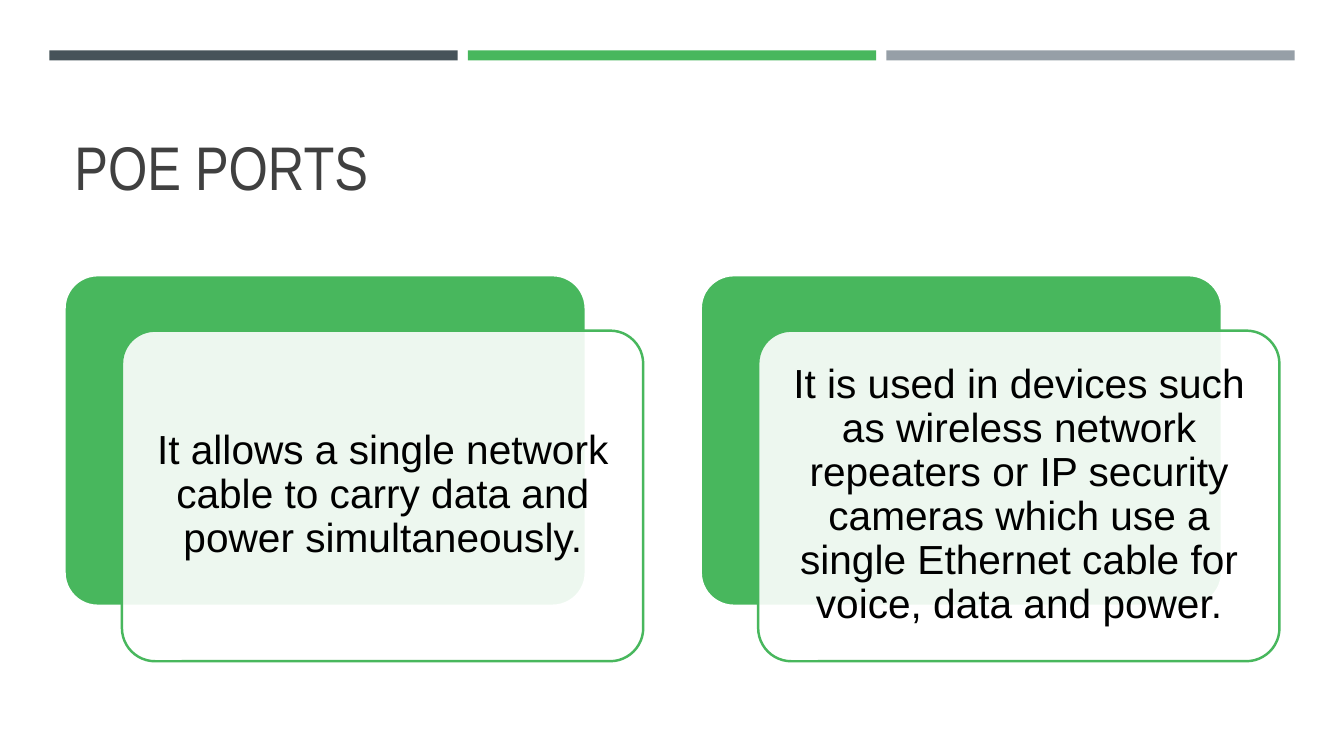
from lxml.etree import SubElement
from pptx import Presentation
from pptx.dml.color import RGBColor
from pptx.enum.shapes import MSO_SHAPE
from pptx.enum.text import MSO_ANCHOR, PP_ALIGN
from pptx.oxml.ns import qn
from pptx.util import Inches, Pt

COLORS = {
    "slate": "465359",
    "green": "48B75D",
    "gray": "969FA7",
    "title": "404040",
    "black": "000000",
    "white": "FFFFFF",
}

deck = Presentation()
deck.slide_width = Inches(13.33)
deck.slide_height = Inches(7.5)
page = deck.slides.add_slide(deck.slide_layouts[6])


def add_block(kind, left, top, width, height, fill, line=None):
    block = page.shapes.add_shape(
        kind, Inches(left), Inches(top), Inches(width), Inches(height))
    block.shadow.inherit = False
    block.fill.solid()
    block.fill.fore_color.rgb = RGBColor.from_string(COLORS[fill])
    if line:
        block.line.color.rgb = RGBColor.from_string(COLORS[line])
        block.line.width = Pt(1.75)
    else:
        block.line.fill.background()
    if kind == MSO_SHAPE.ROUNDED_RECTANGLE:
        block.adjustments[0] = 0.1
    return block


def add_text(text, left, top, width, height, *, size, font, color,
             align=PP_ALIGN.LEFT, anchor=MSO_ANCHOR.MIDDLE, inset=None):
    box = page.shapes.add_textbox(
        Inches(left), Inches(top), Inches(width), Inches(height))
    frame = box.text_frame
    frame.word_wrap = True
    frame.vertical_anchor = anchor
    if inset is not None:
        frame.margin_left = frame.margin_right = Inches(inset)
        frame.margin_top = frame.margin_bottom = Inches(inset)
    para = frame.paragraphs[0]
    para.alignment = align
    para.line_spacing = 0.9
    span = para.add_run()
    span.text = text
    span.font.size = Pt(size)
    span.font.name = font
    span.font.color.rgb = RGBColor.from_string(COLORS[color])


# Bars across the top
for index, color in enumerate(["slate", "green", "gray"]):
    add_block(MSO_SHAPE.RECTANGLE, 0.49 + index * 4.15, 0.5, 4.05, 0.1, color)

# Title
add_text("POE PORTS", 0.64, 0.77, 12.06, 1.3, size=44, font="Arial Narrow",
         color="title", anchor=MSO_ANCHOR.BOTTOM)

# Two cards: green back, translucent white front, text on top
statements = [
    "It allows a single network cable to carry data and power simultaneously.",
    "It is used in devices such as wireless network repeaters or IP security "
    "cameras which use a single Ethernet cable for voice, data and power.",
]
for index, statement in enumerate(statements):
    left = 0.64 + index * 6.31
    add_block(MSO_SHAPE.ROUNDED_RECTANGLE, left, 2.73, 5.17, 3.28,
              "green", line="white")
    front = add_block(MSO_SHAPE.ROUNDED_RECTANGLE, left + 0.57, 3.28, 5.17, 3.28,
                      "white", line="green")
    white = front.fill._xPr.find(qn("a:solidFill"))[0]
    SubElement(white, qn("a:alpha"), val="90000")
    add_text(statement, left + 0.67, 3.37, 4.98, 3.09, size=29, font="Arial",
             color="black", align=PP_ALIGN.CENTER, inset=0.12)

deck.save("out.pptx")
